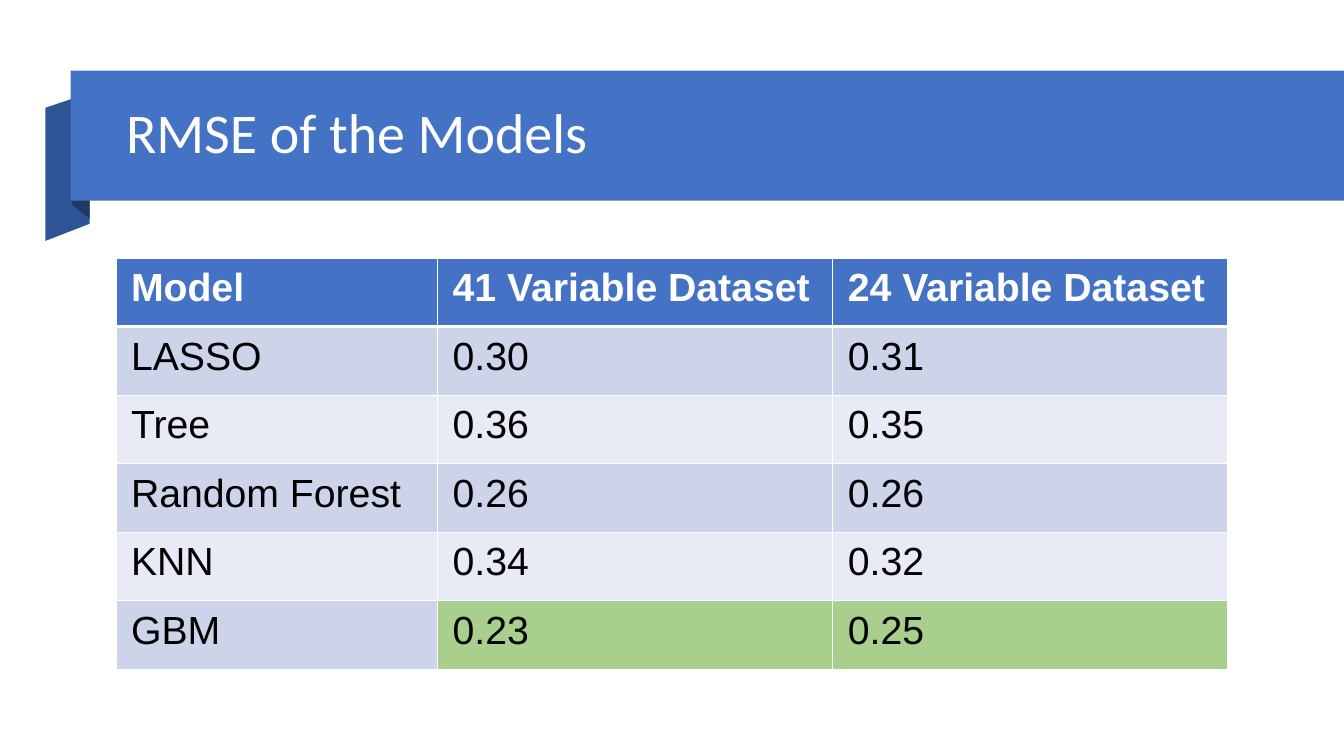
from lxml.etree import SubElement
from pptx import Presentation
from pptx.dml.color import RGBColor
from pptx.enum.shapes import MSO_SHAPE
from pptx.enum.text import MSO_ANCHOR, MSO_AUTO_SIZE, PP_ALIGN
from pptx.oxml.ns import qn
from pptx.util import Pt

PX = 9144  # EMU in one px, 100 px to the inch
WHITE, BLACK, BLUE = "FFFFFF", "000000", "4472C4"
BANDS = ["CDD4EA", "E8EBF5"]
BEST = "A8D08C"

TAIL = [(89, 222), (45, 239), (45, 107), (89, 92)]
FOLD = [(89, 217), (71, 203), (71, 70), (89, 85)]
COLS = [319, 392, 392]
ROW = 68
DATA = [
    ["Model", "41 Variable Dataset", "24 Variable Dataset"],
    ["LASSO", "0.30", "0.31"],
    ["Tree", "0.36", "0.35"],
    ["Random Forest", "0.26", "0.26"],
    ["KNN", "0.34", "0.32"],
    ["GBM", "0.23", "0.25"],
]


def px(*nums):
    return [num * PX for num in nums]


def paint(fill, color):
    fill.solid()
    fill.fore_color.rgb = RGBColor.from_string(color)


def plain(shape, color):
    """Give a shape a flat fill with no line or shadow."""
    paint(shape.fill, color)
    shape.line.fill.background()
    shape.shadow.inherit = False


def write(frame, text, size=28, font="Arial", color=BLACK, bold=False, space=None):
    para = frame.paragraphs[0]
    para.alignment = PP_ALIGN.LEFT
    para.line_spacing = space
    run = para.add_run()
    run.text = text
    run.font.size = Pt(size)
    run.font.name = font
    run.font.bold = bold
    paint(run.font.fill, color)


def add_poly(slide, points, color):
    pen = slide.shapes.build_freeform(*points[0], scale=PX)
    pen.add_line_segments(points[1:], close=True)
    plain(pen.convert_to_shape(), color)


def add_bar(slide, box, color):
    plain(slide.shapes.add_shape(MSO_SHAPE.RECTANGLE, *px(*box)), color)


def set_title(slide, text, box):
    title = slide.shapes.title
    title.left, title.top, title.width, title.height = px(*box)
    frame = title.text_frame
    frame.auto_size = MSO_AUTO_SIZE.NONE
    frame.vertical_anchor = MSO_ANCHOR.MIDDLE
    write(frame, text, size=40, font="Calibri", color=WHITE, space=0.9)


def set_edges(cell, top, bottom):
    """Draw white cell borders; top and bottom are widths in points."""
    props = cell._tc.get_or_add_tcPr()
    for side, width in zip("LRTB", (1, 1, top, bottom)):
        line = SubElement(props, qn(f"a:ln{side}"), w=str(Pt(width)))
        fill = SubElement(line, qn("a:solidFill"))
        SubElement(fill, qn("a:srgbClr"), val=WHITE)


def fill_cell(cell, text, row, col):
    head = row == 0
    best = row == len(DATA) - 1 and col > 0
    cell.margin_left = cell.margin_right = 15 * PX
    cell.margin_top = cell.margin_bottom = 8 * PX
    set_edges(cell, top=3 if row == 1 else 1, bottom=3 if head else 1)
    paint(cell.fill, BLUE if head else BEST if best else BANDS[(row - 1) % 2])
    write(cell.text_frame, text, color=WHITE if head else BLACK, bold=head)


def add_scores(slide, left, top):
    box = px(left, top, sum(COLS), ROW * len(DATA))
    table = slide.shapes.add_table(len(DATA), len(COLS), *box).table
    table.horz_banding = False
    for col, width in zip(table.columns, COLS):
        col.width = width * PX
    for row, texts in enumerate(DATA):
        table.rows[row].height = ROW * PX
        for col, text in enumerate(texts):
            fill_cell(table.cell(row, col), text, row, col)


def main():
    deck = Presentation()
    deck.slide_width, deck.slide_height = px(1333, 750)
    slide = deck.slides.add_slide(deck.slide_layouts[5])
    add_poly(slide, TAIL, "2F5496")
    add_poly(slide, FOLD, "1F3864")
    add_bar(slide, (70, 70, 1263, 129), BLUE)
    # The title comes first in the layout, so lift it above the ribbon
    slide.shapes._spTree.append(slide.shapes.title._element)
    set_title(slide, "RMSE of the Models", (115, 86, 1127, 96))
    add_scores(slide, 115, 256)
    deck.save("out.pptx")


if __name__ == "__main__":
    main()
